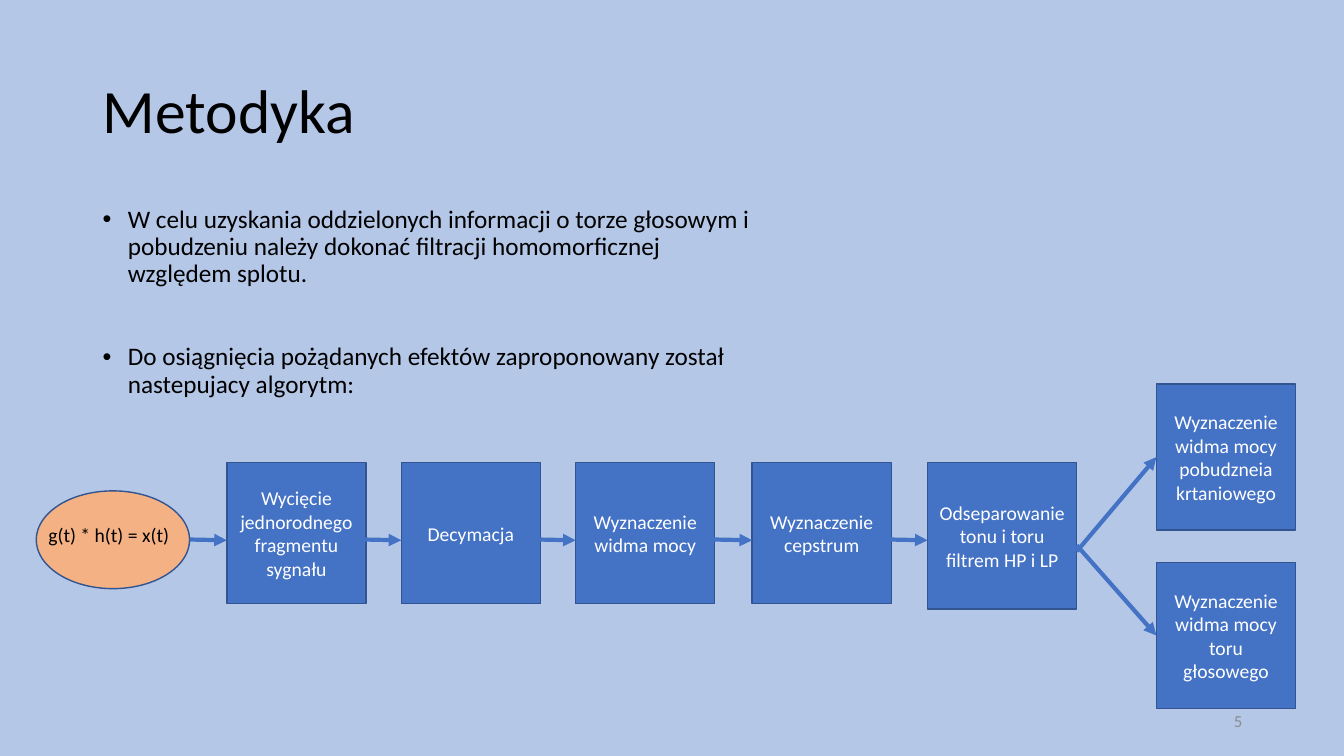
from dataclasses import dataclass

from lxml.etree import SubElement
from pptx import Presentation
from pptx.dml.color import RGBColor
from pptx.enum.shapes import MSO_CONNECTOR as Connector, MSO_SHAPE as Shape
from pptx.enum.text import MSO_ANCHOR as Anchor, PP_ALIGN as Align
from pptx.oxml.ns import qn
from pptx.util import Inches, Pt


@dataclass(frozen=True)
class Theme:
    font: str = "Calibri"
    background: str = "B4C7E7"
    step: str = "4472C4"
    outline: str = "325491"
    signal: str = "F4B183"
    text: str = "000000"
    step_text: str = "FFFFFF"
    number: str = "8C8C8C"
    title_size: int = 44
    body_size: int = 18
    step_size: int = 14
    number_size: int = 12


THEME = Theme()

BULLETS = [
    "W celu uzyskania oddzielonych informacji o torze głosowym i pobudzeniu "
    "należy dokonać filtracji homomorficznej względem splotu.",
    "Do osiągnięcia pożądanych efektów zaproponowany został nastepujacy algorytm:",
]
STEP_WIDTH, STEP_TOP, STEP_HEIGHT = 1.38, 4.59, 1.4
TALL_HEIGHT = 1.45
STEPS = [
    (2.25, "Wycięcie jednorodnego fragmentu sygnału"),
    (3.98, "Decymacja"),
    (5.71, "Wyznaczenie widma mocy"),
    (7.46, "Wyznaczenie cepstrum"),
]
SPLIT_LEFT, SPLIT_WIDTH = 9.2, 1.48
BRANCH_LEFT = 11.47
BRANCHES = [  # box top, arrow start height, label
    (3.81, 5.47, "Wyznaczenie widma mocy pobudzneia krtaniowego"),
    (5.58, 5.41, "Wyznaczenie widma mocy toru głosowego"),
]
ARROW_LENGTH, ARROW_START_Y, ARROW_END_Y = 0.49, 5.35, 5.36


def rgb(color):
    return RGBColor.from_string(color)


def style_paragraph(paragraph, size, color, align):
    paragraph.alignment = align
    for run in paragraph.runs:
        run.font.name = THEME.font
        run.font.size = Pt(size)
        run.font.color.rgb = rgb(color)


def add_text(slide, text, box, size, color=THEME.text, align=Align.LEFT,
             anchor=Anchor.TOP):
    frame = slide.shapes.add_textbox(*map(Inches, box)).text_frame
    frame.word_wrap = True
    frame.vertical_anchor = anchor
    frame.text = text
    for paragraph in frame.paragraphs:
        style_paragraph(paragraph, size, color, align)
    return frame


def add_bullets(slide, bullets, box):
    frame = add_text(slide, "\n".join(bullets), box, THEME.body_size)
    for index, paragraph in enumerate(frame.paragraphs):
        paragraph.line_spacing = 0.9
        paragraph.space_before = Pt(40 if index else 10)
        properties = paragraph._p.get_or_add_pPr()
        properties.set("marL", str(Inches(0.25)))
        properties.set("indent", str(Inches(-0.25)))
        SubElement(properties, qn("a:buFont"), typeface="Arial")
        SubElement(properties, qn("a:buChar"), char="•")


def add_node(slide, kind, box, fill):
    node = slide.shapes.add_shape(kind, *map(Inches, box))
    node.shadow.inherit = False
    node.fill.solid()
    node.fill.fore_color.rgb = rgb(fill)
    node.line.color.rgb = rgb(THEME.outline)
    node.line.width = Pt(1)
    return node


def add_step(slide, label, box):
    step = add_node(slide, Shape.RECTANGLE, box, THEME.step)
    frame = step.text_frame
    frame.word_wrap = True
    frame.vertical_anchor = Anchor.MIDDLE
    frame.text = label
    style_paragraph(frame.paragraphs[0], THEME.step_size, THEME.step_text, Align.CENTER)
    return step


def add_arrow(slide, start, end):
    arrow = slide.shapes.add_connector(Connector.STRAIGHT, *map(Inches, start + end))
    arrow.line.color.rgb = rgb(THEME.step)
    arrow.line.width = Pt(3)
    SubElement(arrow.line._get_or_add_ln(), qn("a:tailEnd"), type="triangle")
    SubElement(arrow._element.spPr, qn("a:effectLst"))
    return arrow


def add_algorithm(slide):
    """Draw the signal, the row of steps and the two final branches."""
    for left, label in STEPS:
        add_step(slide, label, (left, STEP_TOP, STEP_WIDTH, STEP_HEIGHT))
    add_step(slide, "Odseparowanie tonu i toru filtrem HP i LP",
             (SPLIT_LEFT, STEP_TOP, SPLIT_WIDTH, TALL_HEIGHT))

    for left in [left for left, _ in STEPS] + [SPLIT_LEFT]:
        add_arrow(slide, (left - ARROW_LENGTH, ARROW_START_Y), (left, ARROW_END_Y))

    for top, start_y, label in BRANCHES:
        branch = add_step(slide, label, (BRANCH_LEFT, top, STEP_WIDTH, TALL_HEIGHT))
        arrow = add_arrow(slide, (SPLIT_LEFT + SPLIT_WIDTH, start_y),
                          (BRANCH_LEFT, top + TALL_HEIGHT / 2))
        arrow.end_connect(branch, 1)

    add_node(slide, Shape.OVAL, (0.36, 4.87, 1.52, 0.97), THEME.signal)
    add_text(slide, "g(t) * h(t) = x(t)", (0.36, 5.14, 1.44, 0.34),
             THEME.step_size, align=Align.CENTER)


def main():
    presentation = Presentation()
    presentation.slide_width = Inches(13.33)
    presentation.slide_height = Inches(7.5)
    slide = presentation.slides.add_slide(presentation.slide_layouts[6])
    slide.background.fill.solid()
    slide.background.fill.fore_color.rgb = rgb(THEME.background)

    title = add_text(slide, "Metodyka", (0.92, 0.4, 11.5, 1.45), THEME.title_size,
                     anchor=Anchor.MIDDLE)
    title.paragraphs[0].line_spacing = 0.9
    add_bullets(slide, BULLETS, (0.92, 2, 6.77, 4.76))
    add_algorithm(slide)
    add_text(slide, "5", (9.42, 6.95, 3, 0.4), THEME.number_size, THEME.number,
             Align.RIGHT, Anchor.MIDDLE)
    presentation.save("out.pptx")


if __name__ == "__main__":
    main()
